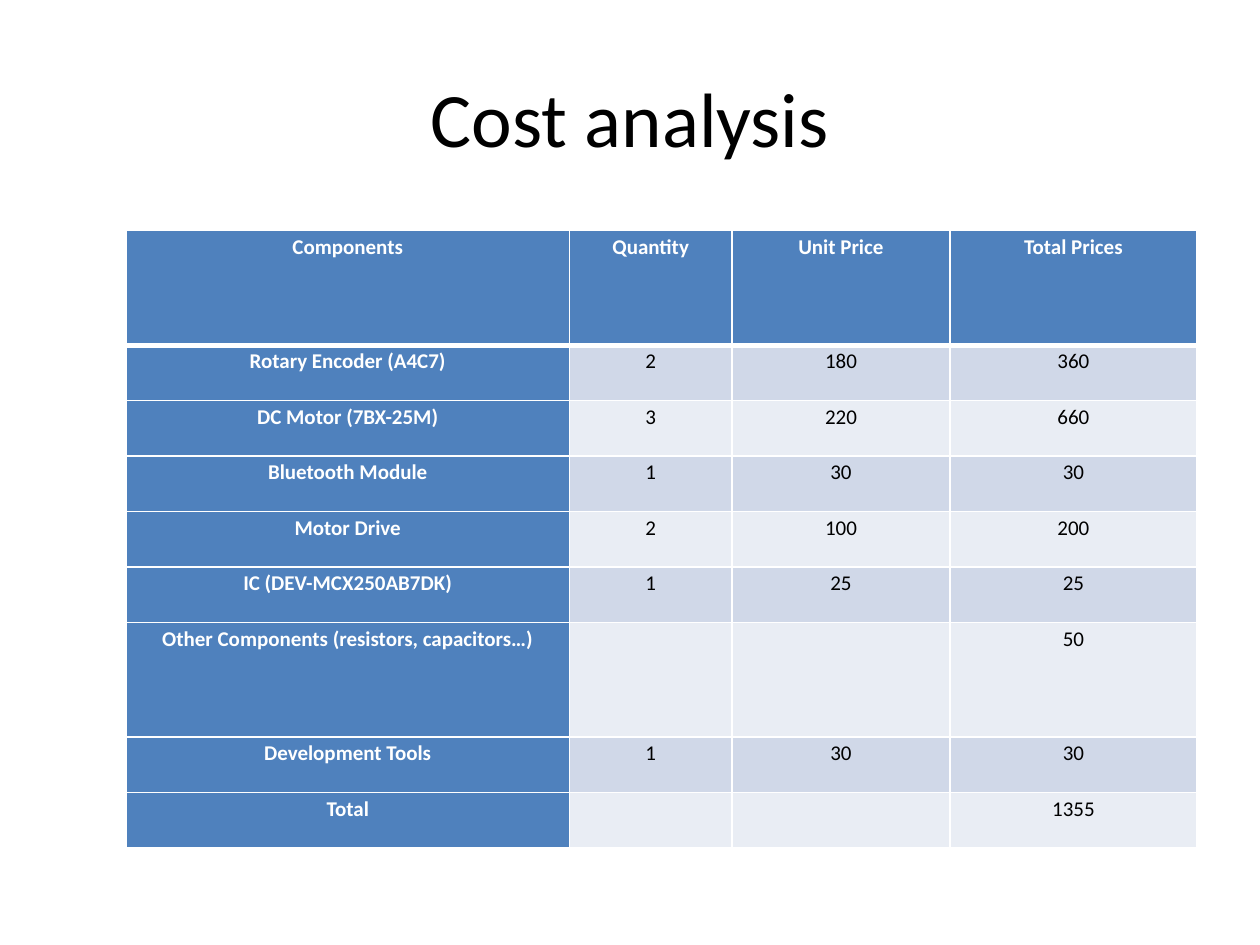
import dataclasses

import lxml.etree
import pptx
import pptx.dml.color
import pptx.enum.text
import pptx.oxml.ns
import pptx.slide
import pptx.table
import pptx.text.text
import pptx.util

Inches = pptx.util.Inches
FONT = "Calibri"
COLORS = {
    "black": "000000",
    "white": "FFFFFF",
    "heading": "4F81BD",
    "odd": "D0D8E8",
    "even": "E9EDF4",
}
COLUMN_WIDTHS = [3.52, 1.29, 1.73, 1.96]
ROW_HEIGHT = 0.44
TALL_ROW_HEIGHT = 0.91
THIN, THICK = 1, 3


@dataclasses.dataclass(frozen=True)
class CostRow:
    """One line of the cost table."""

    component: str
    quantity: str
    unit_price: str
    total: str
    height: float = ROW_HEIGHT


COST_ROWS = [
    CostRow("Components", "Quantity", "Unit Price", "Total Prices", TALL_ROW_HEIGHT),
    CostRow("Rotary Encoder (A4C7)", "2", "180", "360"),
    CostRow("DC Motor (7BX-25M)", "3", "220", "660"),
    CostRow("Bluetooth Module", "1", "30", "30"),
    CostRow("Motor Drive", "2", "100", "200"),
    CostRow("IC (DEV-MCX250AB7DK)", "1", "25", "25"),
    CostRow("Other Components (resistors, capacitors…)", "", "", "50", TALL_ROW_HEIGHT),
    CostRow("Development Tools", "1", "30", "30"),
    CostRow("Total", "", "", "1355"),
]


def rgb(name: str) -> pptx.dml.color.RGBColor:
    """Return the named colour."""
    return pptx.dml.color.RGBColor.from_string(COLORS[name])


def add_run(
    paragraph: pptx.text.text._Paragraph, text: str, size: int, color: str, bold: bool
) -> None:
    """Add centred text to a paragraph."""
    paragraph.alignment = pptx.enum.text.PP_ALIGN.CENTER
    run = paragraph.add_run()
    run.text = text
    run.font.name = FONT
    run.font.size = pptx.util.Pt(size)
    run.font.bold = bold
    run.font.color.rgb = rgb(color)


def set_borders(cell: pptx.table._Cell, top: int, bottom: int) -> None:
    """Draw white borders around a cell."""
    properties = cell._tc.get_or_add_tcPr()
    widths = {"a:lnL": THIN, "a:lnR": THIN, "a:lnT": top, "a:lnB": bottom}
    for position, (tag, width) in enumerate(widths.items()):
        line = lxml.etree.Element(pptx.oxml.ns.qn(tag), w=str(pptx.util.Pt(width)))
        fill = lxml.etree.SubElement(line, pptx.oxml.ns.qn("a:solidFill"))
        lxml.etree.SubElement(fill, pptx.oxml.ns.qn("a:srgbClr"), val=COLORS["white"])
        properties.insert(position, line)


def fill_cell(cell: pptx.table._Cell, text: str, row: int, column: int) -> None:
    """Write and style one table cell."""
    is_heading = row == 0 or column == 0
    cell.margin_left = cell.margin_right = Inches(0.07)
    cell.margin_top = cell.margin_bottom = Inches(0)
    cell.fill.solid()
    cell.fill.fore_color.rgb = rgb(
        "heading" if is_heading else "odd" if row % 2 else "even"
    )
    set_borders(cell, THICK if row == 1 else THIN, THICK if row == 0 else THIN)
    if text:
        paragraph = cell.text_frame.paragraphs[0]
        paragraph.line_spacing = 1.15
        paragraph.space_after = pptx.util.Pt(10)
        add_run(paragraph, text, 12, "white" if is_heading else "black", is_heading)


def add_title(slide: pptx.slide.Slide, text: str) -> None:
    """Add the slide title."""
    shape = slide.shapes.add_textbox(Inches(0.5), Inches(0.3), Inches(9), Inches(1.25))
    shape.text_frame.word_wrap = True
    shape.text_frame.vertical_anchor = pptx.enum.text.MSO_ANCHOR.MIDDLE
    add_run(shape.text_frame.paragraphs[0], text, 44, "black", False)


def add_cost_table(slide: pptx.slide.Slide, rows: list[CostRow]) -> None:
    """Add the table of component costs."""
    table = slide.shapes.add_table(
        len(rows),
        len(COLUMN_WIDTHS),
        Inches(1),
        Inches(1.83),
        Inches(sum(COLUMN_WIDTHS)),
        Inches(sum(row.height for row in rows)),
    ).table
    for column, width in zip(table.columns, COLUMN_WIDTHS):
        column.width = Inches(width)
    for row_index, row in enumerate(rows):
        table.rows[row_index].height = Inches(row.height)
        texts = [row.component, row.quantity, row.unit_price, row.total]
        for column_index, text in enumerate(texts):
            cell = table.cell(row_index, column_index)
            fill_cell(cell, text, row_index, column_index)


def main() -> None:
    """Build and save the cost analysis slide."""
    presentation = pptx.Presentation()
    presentation.slide_width = Inches(10)
    presentation.slide_height = Inches(7.5)
    slide = presentation.slides.add_slide(presentation.slide_layouts[6])
    add_title(slide, "Cost analysis")
    add_cost_table(slide, COST_ROWS)
    presentation.save("out.pptx")


if __name__ == "__main__":
    main()
